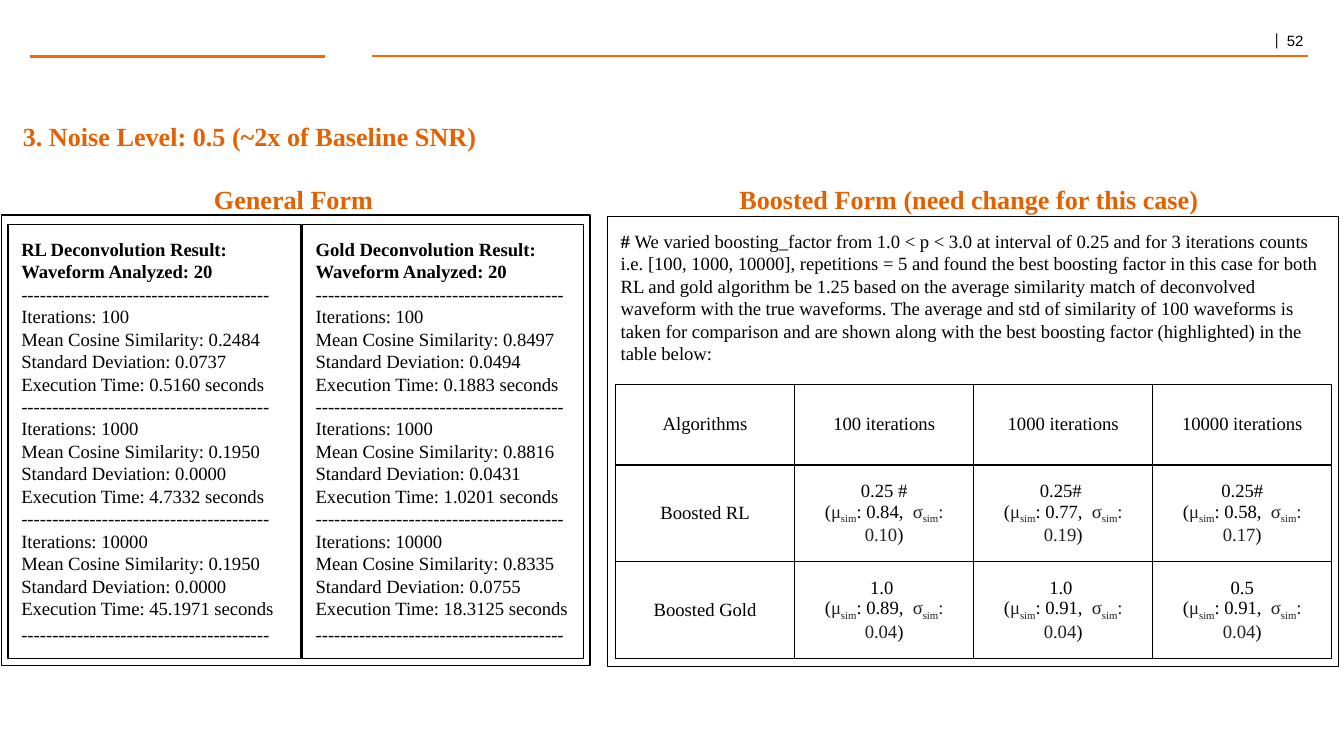
from dataclasses import dataclass

from lxml.etree import SubElement
from pptx import Presentation
from pptx.dml.color import RGBColor as RGB
from pptx.enum.shapes import MSO_CONNECTOR as CONNECTOR, MSO_SHAPE as SHAPE
from pptx.enum.text import MSO_ANCHOR as ANCHOR, MSO_AUTO_SIZE as AUTO_SIZE, PP_ALIGN as ALIGN
from pptx.oxml import parse_xml
from pptx.oxml.ns import nsdecls, qn
from pptx.util import Inches, Pt


@dataclass(frozen=True)
class Theme:
    ink: RGB = RGB(0x00, 0x00, 0x00)
    symbol: RGB = RGB(0x22, 0x22, 0x22)
    heading: RGB = RGB(0xE4, 0x61, 0x02)
    rule: RGB = RGB(0xF6, 0x69, 0x00)
    font: str = "Times New Roman"
    number_font: str = "Arial"
    bar_font: str = "Cambria"
    body_size: float = 10
    heading_size: float = 14
    number_size: float = 8
    bar_size: float = 9
    border: float = 0.75


THEME = Theme()
DASHES = "-" * 40

RL_RUNS = [
    ("100", "0.2484", "0.0737", "0.5160"),
    ("1000", "0.1950", "0.0000", "4.7332"),
    ("10000", "0.1950", "0.0000", "45.1971"),
]
GOLD_RUNS = [
    ("100", "0.8497", "0.0494", "0.1883"),
    ("1000", "0.8816", "0.0431", "1.0201"),
    ("10000", "0.8335", "0.0755", "18.3125"),
]
BOOST_NOTE = (
    "We varied boosting_factor from 1.0 < p < 3.0 at interval of 0.25 and for 3 iterations "
    "counts i.e. [100, 1000, 10000], repetitions = 5 and found the best boosting factor in this "
    "case for both RL and gold algorithm be 1.25 based on the average similarity match of "
    "deconvolved waveform with the true waveforms. The average and std of similarity of 100 "
    "waveforms is taken for comparison and are shown along with the best boosting factor "
    "(highlighted) in the table below:"
)
ALGORITHM_HEADER = ["Algorithms", "100 iterations", "1000 iterations", "10000 iterations"]
# Best factor, mean and deviation of similarity for each iteration count
BOOSTED = {
    "Boosted RL": [("0.25 #", "0.84", "0.10"), ("0.25# ", "0.77", "0.19"), ("0.25#", "0.58", "0.17")],
    "Boosted Gold": [("1.0 ", "0.89", "0.04"), ("1.0 ", "0.91", "0.04"), ("0.5", "0.91", "0.04")],
}


def write(frame, paragraphs, size=THEME.body_size, color=THEME.ink, font=THEME.font,
          bold=False, align=ALIGN.LEFT, anchor=ANCHOR.TOP, inset=(0.1, 0.1), spacing=1.0):
    """Fill a frame; a paragraph is a string or a list of (text, run format) pairs."""
    frame.word_wrap = True
    frame.auto_size = AUTO_SIZE.NONE
    frame.vertical_anchor = anchor
    frame.margin_left = frame.margin_right = Inches(inset[0])
    frame.margin_top = frame.margin_bottom = Inches(inset[1])
    for index, content in enumerate(paragraphs):
        paragraph = frame.add_paragraph() if index else frame.paragraphs[0]
        paragraph.alignment = align
        paragraph.line_spacing = spacing
        paragraph.space_before = Pt(0)
        for text, style in [(content, {})] if isinstance(content, str) else content:
            run = paragraph.add_run()
            run.text = text
            run.font.name = style.get("font", font)
            run.font.size = Pt(style.get("size", size))
            run.font.bold = style.get("bold", bold)
            run.font.color.rgb = style.get("color", color)
            if style.get("subscript"):
                run._r.get_or_add_rPr().set("baseline", "-25000")


def add_frame(slide, left, top, width, height):
    frame = slide.shapes.add_shape(SHAPE.RECTANGLE, *map(Inches, (left, top, width, height)))
    frame.shadow.inherit = False
    frame.fill.background()
    frame.line.color.rgb = THEME.ink
    frame.line.width = Pt(THEME.border)
    return frame


def add_rule(slide, left, right, y, weight):
    rule = slide.shapes.add_connector(CONNECTOR.STRAIGHT, *map(Inches, (left, y, right, y)))
    rule.line.color.rgb = THEME.rule
    rule.line.width = Pt(weight)
    SubElement(rule._element.spPr, qn("a:effectLst"))


def add_heading(slide, text, left, top, width, height):
    heading = slide.shapes.add_textbox(*map(Inches, (left, top, width, height)))
    write(heading.text_frame, [text], size=THEME.heading_size, color=THEME.heading,
          bold=True, align=ALIGN.CENTER, anchor=ANCHOR.MIDDLE)


def add_page_header(slide, left, top, width):
    """Two orange rules with the page number above their right end."""
    add_rule(slide, left, left + 2.2, top, 2)
    add_rule(slide, left + 2.55, left + width, top, 1)
    number = slide.shapes.add_textbox(*map(Inches, (left + width - 0.32, top - 0.21, 1.02, 0.2)))
    write(number.text_frame,
          [[("|  ", {"font": THEME.bar_font, "size": THEME.bar_size}),
            ("52", {"font": THEME.number_font, "size": THEME.number_size})]],
          inset=(0.07, 0.04), spacing=0.8)


def add_title(slide, text, left, top, width, height):
    title = slide.shapes.title
    title.left, title.top, title.width, title.height = map(Inches, (left, top, width, height))
    write(title.text_frame, [text], size=THEME.heading_size, color=THEME.heading,
          bold=True, anchor=ANCHOR.MIDDLE)


def add_result(slide, algorithm, runs, left, top, width, height):
    """One algorithm's results, a dashed line around each run."""
    lines = [[(f"{algorithm} Deconvolution Result:", {"bold": True})],
             [("Waveform Analyzed: 20", {"bold": True})], DASHES]
    for iterations, mean, deviation, seconds in runs:
        lines += [f"Iterations: {iterations}", f"Mean Cosine Similarity: {mean}",
                  f"Standard Deviation: {deviation}", f"Execution Time: {seconds} seconds", DASHES]
    result = add_frame(slide, left, top, width, height)
    write(result.text_frame, lines)
    result.text_frame.paragraphs[-1].line_spacing = 1.15


def add_general_form(slide, left, top, width, height):
    add_frame(slide, left, top, width, height)
    add_result(slide, "RL", RL_RUNS, left + 0.05, top + 0.07, 2.18, height - 0.12)
    add_result(slide, "Gold", GOLD_RUNS, left + 2.24, top + 0.07, 2.09, height - 0.12)
    add_heading(slide, "General Form", left + 0.06, top - 0.25, 4.23, 0.26)


def similarity(factor, mean, deviation):
    symbol = {"color": THEME.symbol}
    subscript = {**symbol, "subscript": True}
    return [factor, [("(", {}), ("μ", symbol), ("sim", subscript), (f": {mean},  ", {}),
                     ("σ", symbol), ("sim", subscript), (f": {deviation}", symbol), (")", {})]]


def add_cell_border(cell):
    properties = cell._tc.get_or_add_tcPr()
    for index, side in enumerate(("lnL", "lnR", "lnT", "lnB")):
        properties.insert(index, parse_xml(
            f'<a:{side} {nsdecls("a")} w="{Pt(THEME.border)}"><a:solidFill>'
            f'<a:srgbClr val="{THEME.ink}"/></a:solidFill></a:{side}>'))


def fill_cell(cell, paragraphs):
    cell.fill.background()
    add_cell_border(cell)
    cell.vertical_anchor = ANCHOR.MIDDLE
    cell.margin_left = cell.margin_right = Inches(0.1)
    cell.margin_top = cell.margin_bottom = Inches(0.1)
    write(cell.text_frame, paragraphs, align=ALIGN.CENTER)


def add_similarity_table(slide, left, top, width, heights):
    rows = [[[label] for label in ALGORITHM_HEADER]]
    rows += [[[name]] + [similarity(*case) for case in cases] for name, cases in BOOSTED.items()]
    columns = len(ALGORITHM_HEADER)
    table = slide.shapes.add_table(len(rows), columns, Inches(left), Inches(top),
                                   Inches(width), Inches(sum(heights))).table
    table.first_row = table.horz_banding = False
    for column in table.columns:
        column.width = Inches(width / columns)
    for row, height, contents in zip(table.rows, heights, rows):
        row.height = Inches(height)
        for cell, paragraphs in zip(row.cells, contents):
            fill_cell(cell, paragraphs)


def add_boosted_form(slide, left, top, width, height):
    add_heading(slide, "Boosted Form (need change for this case) ", left + 0.87, top - 0.35, 3.69, 0.44)
    note = add_frame(slide, left, top, width, height)
    write(note.text_frame, [[("# ", {"bold": True}), (BOOST_NOTE, {})]])
    add_similarity_table(slide, left + 0.06, top + 1.25, width - 0.11, (0.6, 0.72, 0.72))


def main():
    deck = Presentation()
    deck.slide_width = Inches(10)
    deck.slide_height = deck.slide_width * 9 // 16
    slide = deck.slides.add_slide(deck.slide_layouts[5])
    add_page_header(slide, 0.22, 0.42, 9.51)
    add_title(slide, "3. Noise Level: 0.5 (~2x of Baseline SNR)", 0.07, 0.88, 4.23, 0.26)
    add_general_form(slide, 0.01, 1.6, 4.38, 3.35)
    add_boosted_form(slide, 4.52, 1.61, 5.44, 3.35)
    deck.save("out.pptx")


if __name__ == "__main__":
    main()
